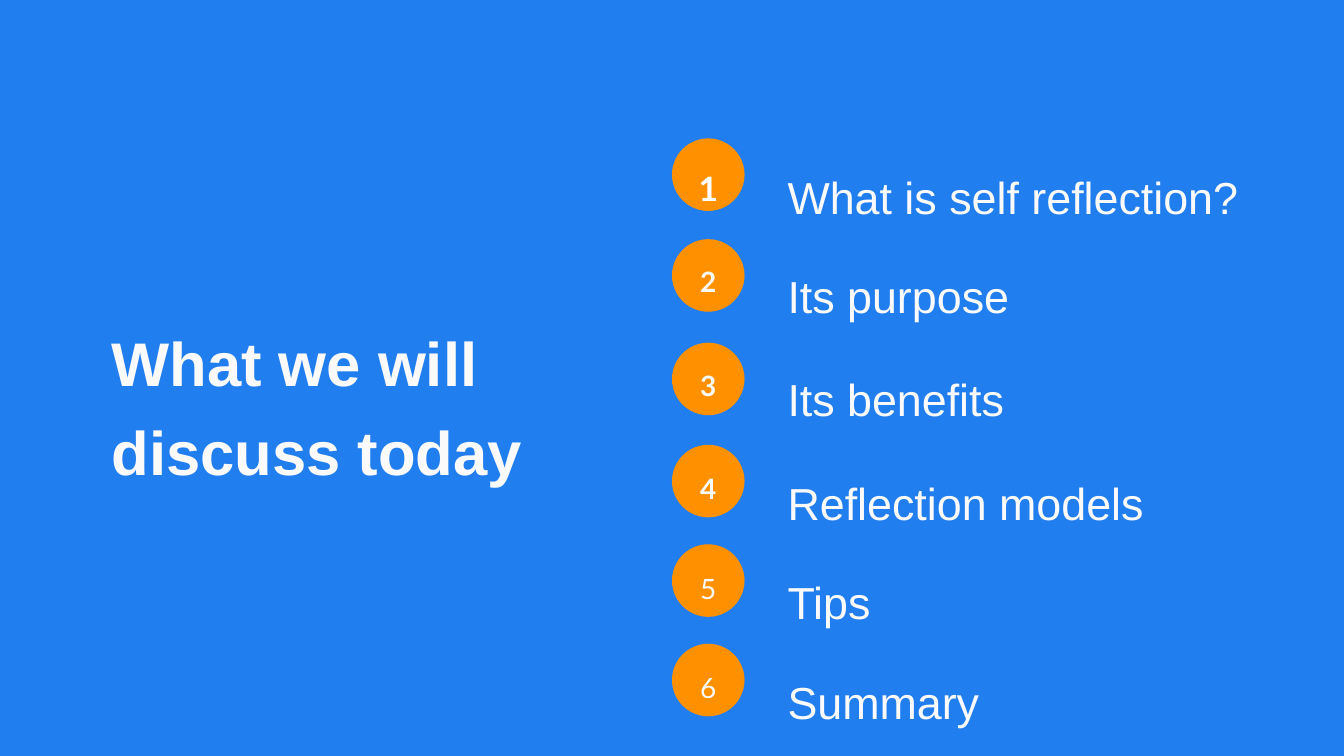
import pptx
import pptx.dml.color
import pptx.enum.shapes
import pptx.enum.text
import pptx.util

Inches = pptx.util.Inches
Pt = pptx.util.Pt
ALIGN = pptx.enum.text.PP_ALIGN
COLORS = {"background": "217EEF", "badge": "FF9000", "text": "FAFAFA", "white": "FFFFFF"}


def rgb(name):
    return pptx.dml.color.RGBColor.from_string(COLORS[name])


def add_text(s, text, left, top, width, height, size=24, font="Arial",
             color="text", bold=False, align=ALIGN.LEFT, spacing=1.4):
    sp = s.shapes.add_textbox(Inches(left), Inches(top), Inches(width), Inches(height))
    tf = sp.text_frame
    tf.word_wrap = True
    tf.auto_size = pptx.enum.text.MSO_AUTO_SIZE.SHAPE_TO_FIT_TEXT
    tf.margin_left = tf.margin_right = tf.margin_top = tf.margin_bottom = 0
    p = tf.paragraphs[0]
    p.alignment = align
    p.line_spacing = spacing
    r = p.add_run()
    r.text = text
    r.font.size = Pt(size)
    r.font.name = font
    r.font.bold = bold
    r.font.color.rgb = rgb(color)


# 16:9 page
prs = pptx.Presentation()
prs.slide_width = Inches(10)
prs.slide_height = Inches(10 * 9 / 16)
s = prs.slides.add_slide(prs.slide_layouts[6])

# Background
s.background.fill.solid()
s.background.fill.fore_color.rgb = rgb("background")

# Title
add_text(s, "What we will discuss today", 0.83, 2.31, 3.33, 1.22,
         size=33, bold=True, spacing=1.2)

# Agenda: topic, then tops of badge, number and topic text
agenda = [
    ("What is self reflection?", 1.03, 1.13, 1.1),
    ("Its purpose", 1.78, 1.87, 1.84),
    ("Its benefits", 2.55, 2.64, 2.61),
    ("Reflection models", 3.31, 3.41, 3.38),
    ("Tips", 4.05, 4.15, 4.12),
    ("Summary", 4.79, 4.89, 4.86),
]
for number, (topic, badge_top, number_top, topic_top) in enumerate(agenda, 1):
    first = number == 1
    sp = s.shapes.add_shape(pptx.enum.shapes.MSO_SHAPE.OVAL,
                            Inches(5), Inches(badge_top), Inches(0.54), Inches(0.54))
    sp.shadow.inherit = False
    sp.fill.solid()
    sp.fill.fore_color.rgb = rgb("badge")
    sp.line.fill.background()
    add_text(s, str(number), 5.09, number_top, 0.36, 0.3 if first else 0.25,
             size=18 if first else 15, font="Lato", color="white" if first else "text",
             bold=number <= 4, align=ALIGN.CENTER)
    add_text(s, topic, 5.86, topic_top, 3.95 if first else 3.2, 0.4)

prs.save("out.pptx")
